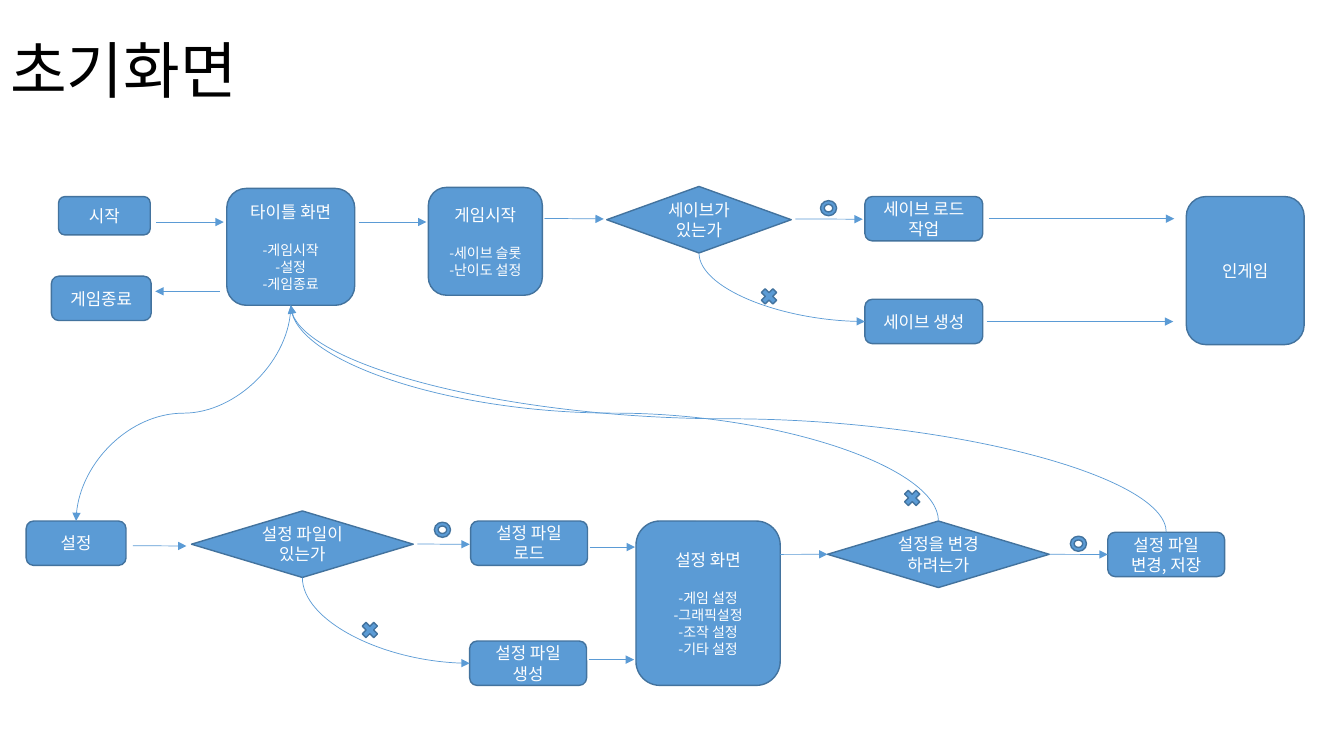
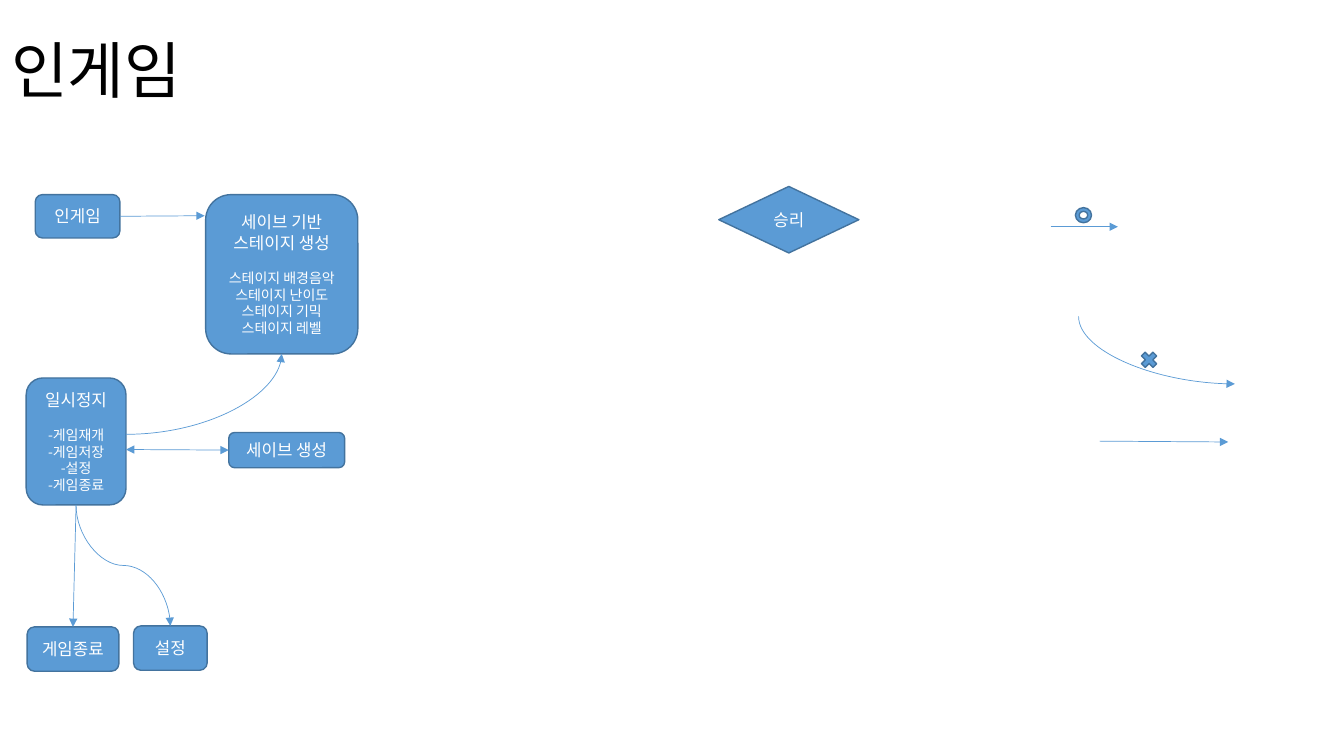
from pptx import Presentation
from pptx.dml.color import RGBColor
from pptx.enum.shapes import MSO_CONNECTOR, MSO_SHAPE
from pptx.enum.text import MSO_ANCHOR, PP_ALIGN
from pptx.oxml.ns import qn
from pptx.util import Pt
from lxml import etree

BOX = MSO_SHAPE.FLOWCHART_ALTERNATE_PROCESS
ASK = MSO_SHAPE.FLOWCHART_DECISION
YES = MSO_SHAPE.DONUT
NO = MSO_SHAPE.MATH_MULTIPLY
LINE, CURVE = MSO_CONNECTOR.STRAIGHT, MSO_CONNECTOR.CURVE
LEFT, MID = PP_ALIGN.LEFT, PP_ALIGN.CENTER
CENTER = MSO_ANCHOR.MIDDLE

BLUE = RGBColor(0x5B, 0x9B, 0xD5)
EDGE = RGBColor(0x43, 0x73, 0x9E)
WHITE = RGBColor(0xFF, 0xFF, 0xFF)
BLACK = RGBColor(0, 0, 0)
FONT = "Noto Sans CJK KR"

# Nodes: key -> (preset, left, top, width, height, heading, items, gap)
# Links: (from, to, kind); an end is a point or a (node, side) pair
# Kinds: line, both (two heads), bend and wave (leave vertically), side
SLIDES = [
    {
        "title": ("초기화면", 0, 201),
        "nodes": {
            "start": (BOX, 41.8, 140.4, 65.5, 27.4, "시작", [], 0),
            "home": (BOX, 162, 134.6, 91.4, 83.5, "타이틀 화면",
                     ["-게임시작", "-설정", "-게임종료"], 14.4),
            "play": (BOX, 306, 133.9, 81.4, 77, "게임시작",
                     ["-세이브 슬롯", "-난이도 설정"], 14.4),
            "setup": (BOX, 18.7, 372.2, 71.3, 31.7, "설정", [], 0),
            "quit": (BOX, 36.7, 197.3, 71.3, 31.7, "게임종료", [], 0),
            "saved": (ASK, 433.4, 133.2, 131.8, 47.5, "세이브가 있는가", [], 0),
            "load": (BOX, 617.8, 140.4, 84.2, 31.7, "세이브 로드 작업", [], 0),
            "make": (BOX, 617.8, 213.8, 84.2, 31.7, "세이브 생성", [], 0),
            "panel": (BOX, 454.3, 372.2, 103, 117.4, "설정 화면",
                      ["-게임 설정", "-그래픽설정", "-조작 설정", "-기타 설정"], 14.4),
            "file": (ASK, 136.8, 365, 158.4, 47.5, "설정 파일이 있는가", [], 0),
            "new": (BOX, 335.5, 457.9, 83.5, 31.7, "설정 파일 생성", [], 0),
            "read": (BOX, 336.2, 372.2, 83.5, 31.7, "설정 파일 로드", [], 0),
            "change": (ASK, 591.1, 372.2, 158.4, 47.5, "설정을 변경 하려는가", [], 0),
            "write": (BOX, 791.3, 380.2, 83.5, 31.7, "설정 파일 변경, 저장", [], 0),
            "game": (BOX, 847.4, 140.4, 84.2, 105.8, "인게임", [], 0),
        },
        "links": [
            ((111.6, 158.6), (159.8, 158.6), "line"),
            ((157, 208.1), (110.9, 208.1), "line"),
            ((256.3, 158.6), (304.6, 158.6), "line"),
            ((388.8, 156), (431.3, 156.4), "line"),
            ((568.1, 156.4), (616.3, 156.6), "line"),
            ((95, 389.8), (133.2, 390), "line"),
            ((298.1, 388.6), (335.5, 388.8), "line"),
            ((421.2, 390.8), (453.6, 390.8), "line"),
            ((420.5, 471.2), (452.9, 471.2), "line"),
            ((557.3, 396), ("change", "left"), "line"),
            (("change", "right"), ("write", "left"), "line"),
            ((706.3, 156.2), (838.8, 156.2), "line"),
            ((704.9, 229.7), (838.1, 229.7), "line"),
            (("saved", "bottom"), ("make", "left"), "bend"),
            (("file", "bottom"), ("new", "left"), "bend"),
            (("home", "bottom"), ("setup", "top"), "wave"),
            (("write", "top"), ("home", "bottom"), "wave"),
            (("change", "top"), ("home", "bottom"), "wave"),
        ],
        "marks": [(YES, 586.1, 143.3), (YES, 764.6, 383), (YES, 310.3, 373),
                  (NO, 541.4, 203.8), (NO, 643.7, 347.8), (NO, 256.3, 442.1)],
    },
    {
        "title": ("인게임", 0.7, 152.6),
        "nodes": {
            "win": (ASK, 513.4, 133.2, 100.1, 47.5, "승리", [], 0),
            "save": (BOX, 163.4, 308.9, 82.8, 25.2, "세이브 생성", [], 0),
            "game": (BOX, 25.2, 139, 60.5, 31, "인게임", [], 0),
            "stage": (BOX, 146.9, 139, 108.7, 113.8, "세이브 기반 스테이지 생성",
                      ["스테이지 배경음악", "스테이지 난이도",
                       "스테이지 기믹", "스테이지 레벨"], 12),
            "pause": (BOX, 18.7, 270, 71.3, 90.7, "일시정지",
                      ["-게임재개", "-게임저장", "-설정", "-게임종료"], 12),
            "quit": (BOX, 19.4, 447.8, 65.5, 31.7, "게임종료", [], 0),
            "setup": (BOX, 95.4, 447.1, 52.6, 31.7, "설정", [], 0),
        },
        "links": [
            ((750.4, 162), (798.5, 162), "line"),
            ((770.4, 226.1), (882, 274.3), "bend"),
            ((785.5, 315.1), (877.3, 315.7), "line"),
            ((90, 321.1), ("save", "left"), "both"),
            ((90, 310.3), ("stage", "bottom"), "side"),
            (("pause", "bottom"), ("quit", "top"), "line"),
            (("pause", "bottom"), ("setup", "top"), "wave"),
            (("game", "right"), (146.2, 154.1), "line"),
        ],
        "marks": [(YES, 768.2, 148.3), (NO, 812.9, 249.1)],
    },
]

# Side -> connection site and its place as a share of width and height
SIDES = {"top": (0, 0.5, 0), "left": (1, 0, 0.5),
         "bottom": (2, 0.5, 1), "right": (3, 1, 0.5)}
PRESETS = {"bend": "curvedConnector2", "side": "curvedConnector2",
           "wave": "curvedConnector3"}
# (goes right, goes down) -> quarter turns, flipH, flipV
TURNS = {(True, True): (3, 1, 0), (False, True): (1, 0, 0),
         (False, False): (3, 0, 1), (True, False): (1, 1, 0)}
SIZES = {YES: (11.5, 10.8), NO: (15.8, 15.8)}


def put_text(para, text, size=12, color=WHITE, align=MID, after=0, lines=1):
    para.alignment = align
    para.space_before, para.space_after = Pt(0), Pt(after)
    para.line_spacing = lines
    run = para.add_run()
    run.text = text
    font = run.font
    font.size, font.name = Pt(size), FONT
    font.color.rgb = color
    etree.SubElement(run._r.get_or_add_rPr(), qn("a:ea"), typeface=FONT)


def add_title(slide, text, left, width):
    title = slide.shapes.title
    title.left, title.top = Pt(left), Pt(0)
    title.width, title.height = Pt(width), Pt(104.4)
    frame = title.text_frame
    frame.vertical_anchor = CENTER
    put_text(frame.paragraphs[0], text, size=44, color=BLACK, align=LEFT,
             lines=0.9)


def add_form(slide, preset, *rect):
    form = slide.shapes.add_shape(preset, *map(Pt, rect))
    form.shadow.inherit = False
    form.fill.solid()
    form.fill.fore_color.rgb = BLUE
    form.line.color.rgb = EDGE
    form.line.width = Pt(1)
    return form


def add_node(slide, preset, left, top, width, height, head, items, gap):
    node = add_form(slide, preset, left, top, width, height)
    frame = node.text_frame
    frame.word_wrap = True
    frame.vertical_anchor = CENTER
    put_text(frame.paragraphs[0], head, after=gap)
    for item in items:
        put_text(frame.add_paragraph(), item, size=10)
    return node


def find_end(end, nodes):
    """Give the point of an end, and its node and site when it has them."""
    if end[0] not in nodes:
        return end, None
    node = nodes[end[0]]
    site, across, down = SIDES[end[1]]
    point = ((node.left + node.width * across) / Pt(1),
             (node.top + node.height * down) / Pt(1))
    return point, (node, site)


def bend_link(link, kind, x1, y1, x2, y2):
    wide, high = abs(x2 - x1), abs(y2 - y1)
    if kind == "side":
        turn, flip_h, flip_v = 0, int(x2 < x1), int(y2 < y1)
    else:
        turn, flip_h, flip_v = TURNS[x2 > x1, y2 > y1]
        wide, high = high, wide
    link.left, link.top = Pt((x1 + x2 - wide) / 2), Pt((y1 + y2 - high) / 2)
    link.width, link.height = Pt(wide), Pt(high)
    props = link._element.spPr
    frame = props.find(qn("a:xfrm"))
    for name, value in (("rot", turn * 5400000), ("flipH", flip_h),
                        ("flipV", flip_v)):
        frame.set(name, str(value))
    props.find(qn("a:prstGeom")).set("prst", PRESETS[kind])


def add_link(slide, nodes, start, stop, kind):
    (p1, from_site), (p2, to_site) = (find_end(e, nodes) for e in (start, stop))
    form = CURVE if kind in PRESETS else LINE
    link = slide.shapes.add_connector(form, *map(Pt, (*p1, *p2)))
    if from_site:
        link.begin_connect(*from_site)
    if to_site:
        link.end_connect(*to_site)
    if kind in PRESETS:
        bend_link(link, kind, *p1, *p2)
    link.line.color.rgb = BLUE
    link.line.width = Pt(0.5)
    props = link._element.spPr
    heads = ("headEnd", "tailEnd") if kind == "both" else ("tailEnd",)
    for head in heads:
        etree.SubElement(props.find(qn("a:ln")), qn("a:" + head),
                         type="triangle")
    etree.SubElement(props, qn("a:effectLst"))


def main():
    deck = Presentation()
    deck.slide_width, deck.slide_height = Pt(960), Pt(540)
    for data in SLIDES:
        slide = deck.slides.add_slide(deck.slide_layouts[5])
        add_title(slide, *data["title"])
        nodes = {key: add_node(slide, *node)
                 for key, node in data["nodes"].items()}
        for link in data["links"]:
            add_link(slide, nodes, *link)
        for mark, left, top in data["marks"]:
            add_form(slide, mark, left, top, *SIZES[mark])
    deck.save("out.pptx")


if __name__ == "__main__":
    main()
